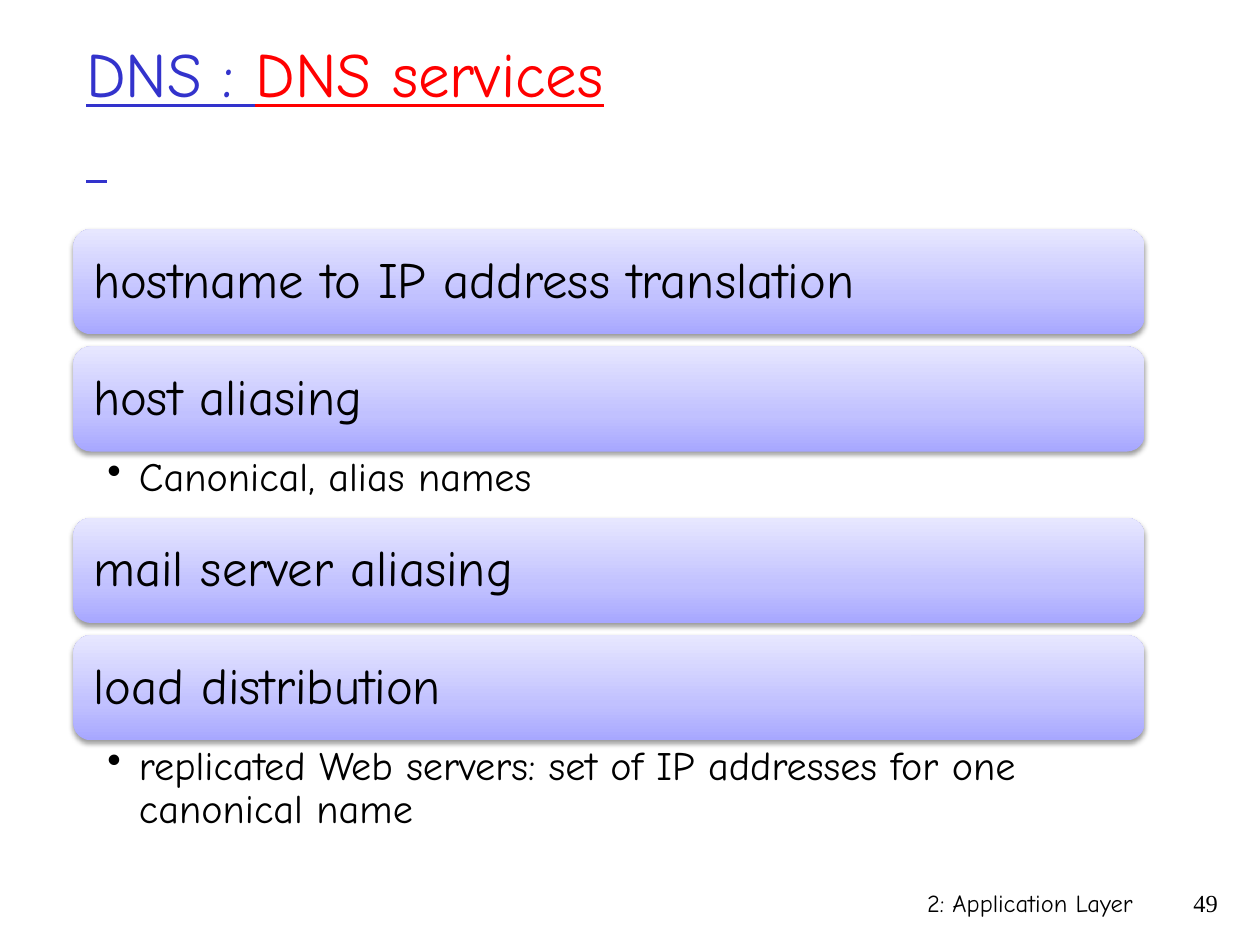
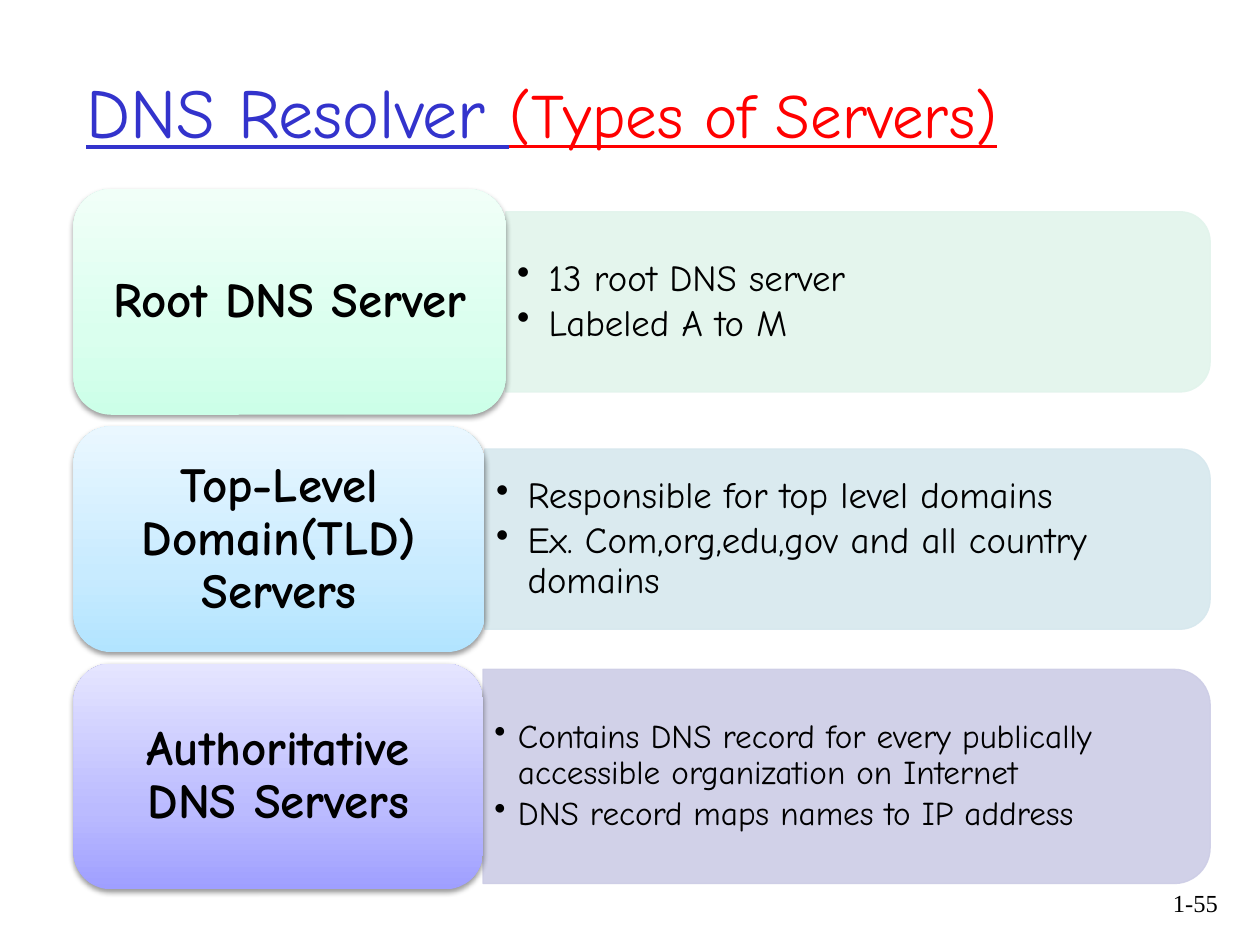
from lxml.etree import SubElement
from pptx import Presentation
from pptx.dml.color import RGBColor
from pptx.enum.shapes import MSO_SHAPE
from pptx.enum.text import MSO_ANCHOR, MSO_AUTO_SIZE, PP_ALIGN
from pptx.oxml.ns import qn
from pptx.util import Pt

FONT = "Comic Neue"
NUMBER_FONT = "Times New Roman"

BLACK = RGBColor(0x00, 0x00, 0x00)
TITLE_BLUE = RGBColor(0x33, 0x33, 0xCC)
TITLE_RED = RGBColor(0xFF, 0x00, 0x00)

# Gradients run from the bottom edge to the top edge
GRADIENT_POSITIONS = (0, 35, 100)
LAVENDER = (RGBColor(0xA7, 0xA7, 0xFF), RGBColor(0xC1, 0xC1, 0xFF), RGBColor(0xE7, 0xE7, 0xFF))
MINT = (RGBColor(0xCC, 0xFF, 0xE8), RGBColor(0xDA, 0xFF, 0xEE), RGBColor(0xF1, 0xFF, 0xF8))
SKY = (RGBColor(0xB2, 0xE4, 0xFF), RGBColor(0xC8, 0xEB, 0xFF), RGBColor(0xEA, 0xF7, 0xFF))
VIOLET = (RGBColor(0x9F, 0x9F, 0xFF), RGBColor(0xBB, 0xBB, 0xFF), RGBColor(0xE5, 0xE5, 0xFF))
PALE_MINT = RGBColor(0xE2, 0xF4, 0xEC)
PALE_SKY = RGBColor(0xD7, 0xE8, 0xEE)
PALE_VIOLET = RGBColor(0xCD, 0xCD, 0xE6)

LEFT = 42
CONTENT_WIDTH = 612

# Service bars
BAR_TOP = 131
BAR_HEIGHT = 60
BAR_GAP = 7

# Server rows
ROW_TOP = 108
CARD_HEIGHT = 129
ROW_PITCH = 135.6
PANEL_RIGHT = 691.5

SERVICES = [  # service, detail, detail height
    ("hostname to IP address translation", None, BAR_GAP),
    ("host aliasing", "Canonical, alias names", 38),
    ("mail server aliasing", None, BAR_GAP),
    ("load distribution",
     "replicated Web servers: set of IP addresses for one canonical name", 64),
]

SERVERS = [  # server, card width, card colours, panel colour, panel height, facts, size, indent
    ("Root DNS Server", 247, MINT, PALE_MINT, 103,
     ["13 root DNS server", "Labeled A to M"], 21, 18),
    ("Top-Level Domain(TLD) Servers", 235, SKY, PALE_SKY, 103,
     ["Responsible for top level domains",
      "Ex. Com,org,edu,gov and all country domains"], 21, 18),
    ("Authoritative DNS Servers", 234, VIOLET, PALE_VIOLET, 122.4,
     ["Contains DNS record for every publically accessible organization on Internet",
      "DNS record maps names to IP address"], 19, 13.5),
]


def style_font(font, size, color=BLACK, name=FONT, bold=False):
    font.name = name
    font.size = Pt(size)
    font.bold = bold
    font.color.rgb = color


def set_insets(frame, left, top, right, bottom):
    frame.margin_left, frame.margin_top = Pt(left), Pt(top)
    frame.margin_right, frame.margin_bottom = Pt(right), Pt(bottom)


def add_title(slide, lines):
    """Each line is a list of (text, size, colour) pieces."""
    title = slide.shapes.title
    title.left, title.top = Pt(LEFT), Pt(18)
    title.width, title.height = Pt(CONTENT_WIDTH), Pt(90)
    frame = title.text_frame
    frame.auto_size = MSO_AUTO_SIZE.NONE
    frame.vertical_anchor = MSO_ANCHOR.MIDDLE
    paragraph = frame.paragraphs[0]
    paragraph.alignment = PP_ALIGN.LEFT
    for index, pieces in enumerate(lines):
        if index:
            paragraph.add_line_break()
        for text, size, color in pieces:
            run = paragraph.add_run()
            run.text = text
            style_font(run.font, size, color)
            run.font.underline = True
    # Line breaks take the size of the title text
    for line_break in paragraph._p.findall(qn("a:br")):
        SubElement(line_break, qn("a:rPr"), sz=str(lines[0][0][1] * 100))


def add_footer(slide, text, left, width, font_name):
    footer = slide.shapes.add_textbox(Pt(left), Pt(504), Pt(width), Pt(36))
    footer.text_frame.word_wrap = True
    paragraph = footer.text_frame.paragraphs[0]
    paragraph.text = text
    paragraph.alignment = PP_ALIGN.RIGHT
    style_font(paragraph.runs[0].font, 14, name=font_name)


def add_page_number(slide, number):
    add_footer(slide, number, 654, 49, NUMBER_FONT)


def fill_gradient(shape, colors):
    shape.fill.gradient()
    shape.fill.gradient_angle = 90
    stops = shape._element.spPr.find(".//" + qn("a:gsLst"))
    stops.clear()
    for position, color in zip(GRADIENT_POSITIONS, colors):
        stop = SubElement(stops, qn("a:gs"), pos=str(position * 1000))
        SubElement(stop, qn("a:srgbClr"), val=str(color))


def add_soft_shadow(shape):
    shape.shadow.inherit = False
    effects = shape._element.spPr.find(qn("a:effectLst"))
    shadow = SubElement(effects, qn("a:outerShdw"), blurRad=str(Pt(3.15)),
                        dist=str(Pt(1.57)), dir="5400000", rotWithShape="0")
    color = SubElement(shadow, qn("a:srgbClr"), val=str(BLACK))
    SubElement(color, qn("a:alpha"), val="38000")


def add_card(slide, text, top, width, height, colors, size, inset, alignment, bold=False):
    card = slide.shapes.add_shape(MSO_SHAPE.ROUNDED_RECTANGLE,
                                  Pt(LEFT), Pt(top), Pt(width), Pt(height))
    fill_gradient(card, colors)
    card.line.fill.background()
    add_soft_shadow(card)
    frame = card.text_frame
    frame.word_wrap = True
    frame.vertical_anchor = MSO_ANCHOR.MIDDLE
    set_insets(frame, 8.4, inset, 8.4, inset)
    paragraph = frame.paragraphs[0]
    paragraph.text = text
    paragraph.alignment = alignment
    paragraph.line_spacing = 0.9
    style_font(paragraph.runs[0].font, size, bold=bold)


def add_bullets(slide, items, box, size, indent, insets, anchor, spacing):
    bullets = slide.shapes.add_textbox(*map(Pt, box))
    frame = bullets.text_frame
    frame.word_wrap = True
    frame.vertical_anchor = anchor
    set_insets(frame, *insets)
    frame.text = "\n".join(items)
    for paragraph in frame.paragraphs:
        paragraph.level = 1
        properties = paragraph._p.get_or_add_pPr()
        properties.set("marL", str(Pt(indent)))
        properties.set("indent", str(Pt(-indent)))
        SubElement(properties, qn("a:buChar"), char="•")
        paragraph.line_spacing = 0.9
        paragraph.space_after = Pt(round(size * spacing, 1))
        style_font(paragraph.runs[0].font, size)


def add_panel(slide, left, middle, height, color):
    """Panel with rounded right corners: a top-rounded shape turned clockwise."""
    width = PANEL_RIGHT - left
    center = left + width / 2
    panel = slide.shapes.add_shape(MSO_SHAPE.ROUND_2_SAME_RECTANGLE,
                                   Pt(center - height / 2), Pt(middle - width / 2),
                                   Pt(height), Pt(width))
    panel.rotation = 90
    panel.shadow.inherit = False
    panel.line.width = Pt(0.75)
    for fill in (panel.fill, panel.line.fill):
        fill.solid()
        fill.fore_color.rgb = color
    for paint in panel._element.spPr.iter(qn("a:srgbClr")):
        SubElement(paint, qn("a:alpha"), val="90000")


def build_services(slide):
    add_title(slide, [[("DNS : ", 36, TITLE_BLUE), ("DNS services", 36, TITLE_RED)],
                      [(" ", 36, TITLE_BLUE)]])
    top = BAR_TOP
    for service, detail, detail_height in SERVICES:
        add_card(slide, service, top, CONTENT_WIDTH, BAR_HEIGHT, LAVENDER, 29, 8.4,
                 PP_ALIGN.LEFT)
        top += BAR_HEIGHT
        if detail:
            add_bullets(slide, [detail], (LEFT, top, CONTENT_WIDTH, detail_height), 23, 18,
                        (19.4, 2.9, 16.6, 2.9), MSO_ANCHOR.TOP, 0.2)
        top += detail_height
    add_footer(slide, "2: Application Layer", 426, 228.5, FONT)
    add_page_number(slide, "49")


def build_servers(slide):
    add_title(slide, [[("DNS Resolver ", 40, TITLE_BLUE),
                       ("(Types of Servers)", 36, TITLE_RED)]])
    for row, server in enumerate(SERVERS):
        name, card_width, colors, panel_color, panel_height, facts, size, indent = server
        top = ROW_TOP + row * ROW_PITCH
        middle = top + CARD_HEIGHT / 2
        panel_left = LEFT + card_width
        add_panel(slide, panel_left, middle, panel_height, panel_color)
        facts_height = panel_height - 10
        facts_box = (panel_left, middle - facts_height / 2,
                     PANEL_RIGHT - 5 - panel_left, facts_height)
        add_bullets(slide, facts, facts_box, size, indent, (6.5, 2.9, 6.5, 2.9),
                    MSO_ANCHOR.MIDDLE, 0.15)
        add_card(slide, name, top, card_width, CARD_HEIGHT, colors, 28, 4.2,
                 PP_ALIGN.CENTER, bold=True)
    add_page_number(slide, "1-55")


def main():
    presentation = Presentation()
    presentation.slide_width, presentation.slide_height = Pt(720), Pt(540)
    title_only = presentation.slide_layouts[5]
    for build in (build_services, build_servers):
        build(presentation.slides.add_slide(title_only))
    presentation.save("out.pptx")


if __name__ == "__main__":
    main()
